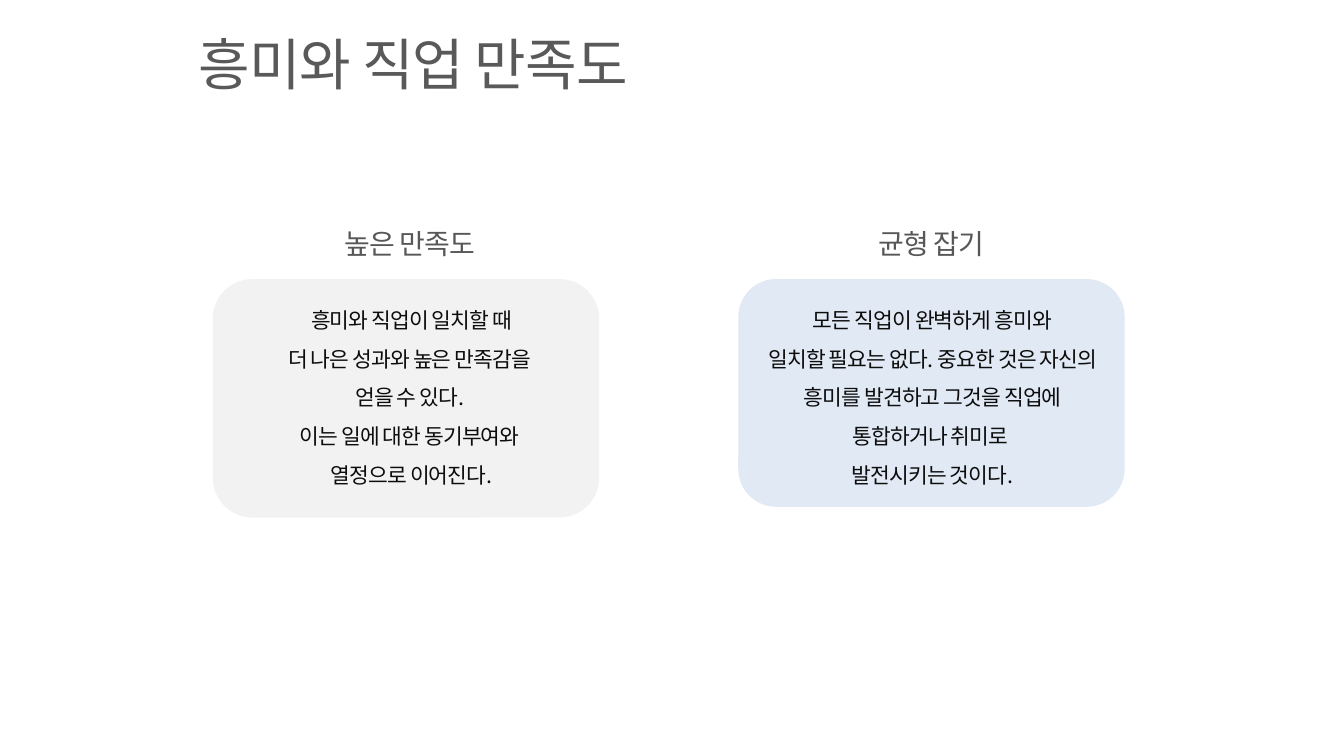
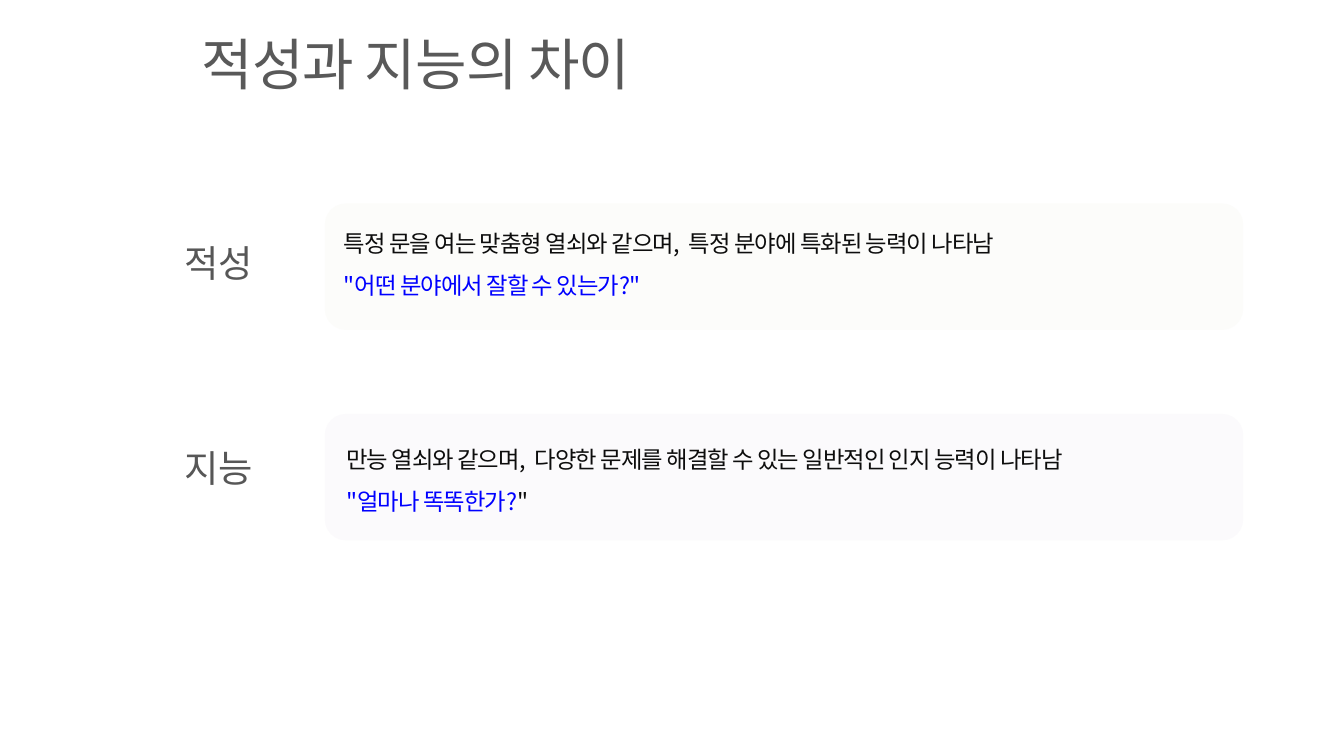
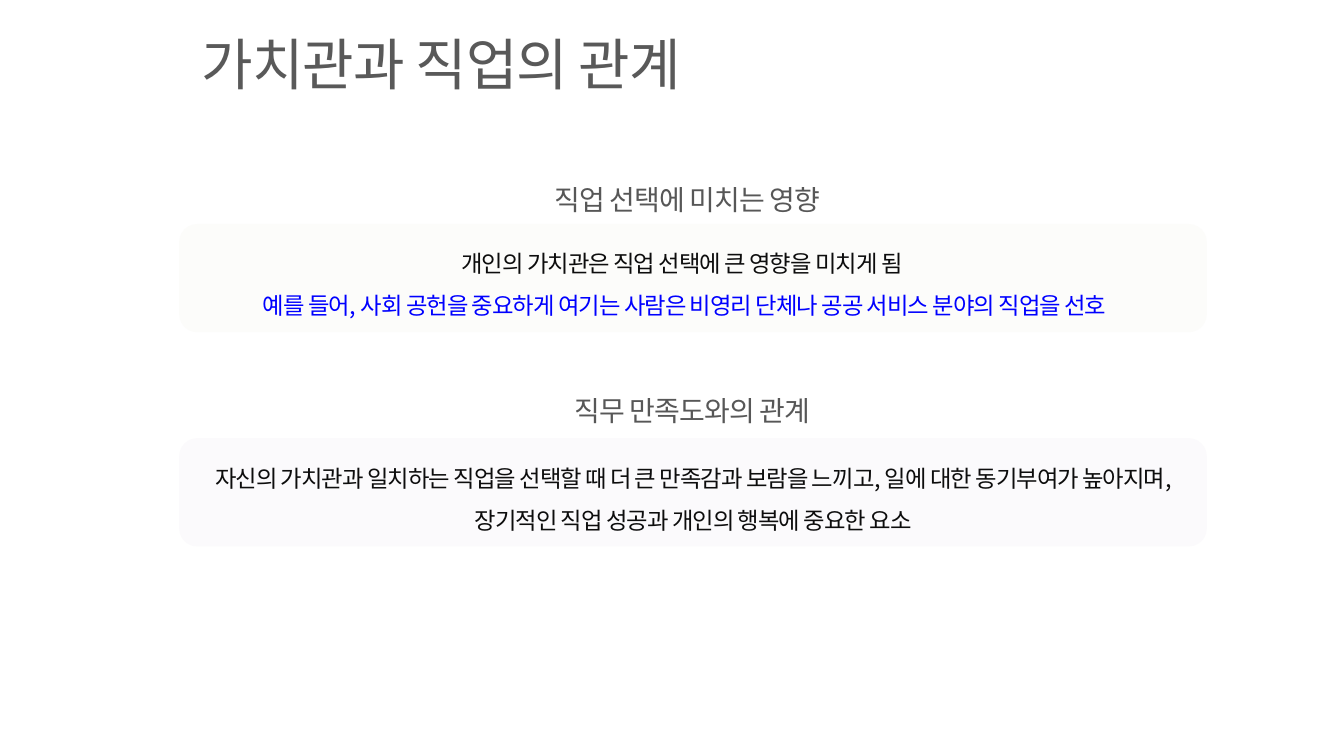
"""Build three slides on interests, aptitude and values at work."""
from dataclasses import dataclass

from lxml.etree import SubElement as Sub
from pptx import Presentation
from pptx.dml.color import RGBColor as Rgb
from pptx.enum.shapes import MSO_SHAPE as Form
from pptx.enum.text import MSO_ANCHOR as Anchor, MSO_AUTO_SIZE as Auto, PP_ALIGN as Align
from pptx.oxml.ns import qn
from pptx.util import Pt


@dataclass(frozen=True)
class Theme:
    font: str = "Noto Sans CJK KR"
    paper: str = "FFFFFF"
    title: str = "595959"
    label: str = "000000"
    ink: str = "0D0D0D"
    blue: str = "0000FF"
    gray: str = "F2F2F2"
    sky: str = "E0E9F4"
    cream: str = "FCFCFA"
    lilac: str = "FBFAFC"
    veil: int = 66
    track: int = -100
    big: int = 60
    side: int = 40
    head: int = 30
    note: int = 25
    small: int = 23


T = Theme()
SIZE = (1440, 810)
MID, LEFT = Align.CENTER, Align.LEFT

SLIDES = [
    {
        "title": ("흥미와 직업 만족도", 213, 549),
        "style": {"head": T.head, "body": T.small, "align": MID},
        "cards": [
            {
                "fill": T.gray, "box": (228, 299, 414, 255.5),
                "label": ("높은 만족도", (356.5, 251.5, 165, 28)),
                "at": (252, 315.5, 378, 228),
                "lines": ["흥미와 직업이 일치할 때", "더 나은 성과와 높은 만족감을 ",
                          "얻을 수 있다. ", "이는 일에 대한 동기부여와 ",
                          "열정으로 이어진다."],
            },
            {
                "fill": T.sky, "box": (791, 299, 414, 244),
                "label": ("균형 잡기", (915, 251.5, 165, 28)),
                "at": (810, 315.5, 378, 158.5), "wrap": True,
                "lines": ["모든 직업이 완벽하게 흥미와",
                          "일치할 필요는 없다. 중요한 것은 자신의 흥미를 발견하고 "
                          "그것을 직업에 통합하거나 취미로 ",
                          "발전시키는 것이다."],
            },
        ],
    },
    {
        "title": ("적성과 지능의 차이", 216, 726),
        "style": {"head": T.side, "body": T.note, "align": LEFT},
        "cards": [
            {
                "fill": T.cream, "box": (348, 218, 984, 135.5),
                "label": ("적성", (198, 278, 239, 28)),
                "at": (368.5, 231, 853, 104),
                "lines": ["특정 문을 여는 맞춤형 열쇠와 같으며,  특정 분야에 특화된 능력이 나타남",
                          [('"어떤 분야에서 잘할 수 있는가?"', T.blue)]],
            },
            {
                "fill": T.lilac, "box": (348, 443.5, 984, 135.5),
                "label": ("지능", (198, 497.5, 294, 28)),
                "at": (371, 462, 883.5, 104),
                "lines": ["만능 열쇠와 같으며,  다양한 문제를 해결할 수 있는 일반적인 인지 능력이 나타남",
                          [('"얼마나 똑똑한가?', T.blue), ('"', T.ink)]],
            },
        ],
    },
    {
        "title": ("가치관과 직업의 관계", 216, 726),
        "style": {"head": T.head, "body": T.note, "align": MID},
        "cards": [
            {
                "fill": T.cream, "box": (192, 240, 1101, 116),
                "label": ("직업 선택에 미치는 영향", (469.5, 204, 534, 28)),
                "at": (168, 251.5, 1125, 104),
                "lines": ["개인의 가치관은 직업 선택에 큰 영향을 미치게 됨",
                          [(" ", T.ink),
                           ("예를 들어, 사회 공헌을 중요하게 여기는 사람은 비영리 단체나 "
                            "공공 서비스 분야의 직업을 선호", T.blue)]],
            },
            {
                "fill": T.lilac, "box": (192, 469.5, 1101, 116),
                "label": ("직무 만족도와의 관계", (583, 430.5, 318, 37.5)),
                "lines": ["자신의 가치관과 일치하는 직업을 선택할 때 더 큰 만족감과 보람을 느끼고, "
                          "일에 대한 동기부여가 높아지며, 장기적인 직업 성공과 개인의 행복에 "
                          "중요한 요소"],
            },
        ],
    },
]


def apply(obj, vals):
    for key, val in vals.items():
        setattr(obj, key, val)


def write(frame, lines, size, align, gap, ink=T.ink, veil=None):
    for num, line in enumerate(lines):
        para = frame.add_paragraph() if num else frame.paragraphs[0]
        apply(para, {"alignment": align, "line_spacing": gap})
        for text, tint in [(line, ink)] if isinstance(line, str) else line:
            run = para.add_run()
            run.text = text
            apply(run.font, {"size": Pt(size), "name": T.font})
            run.font.color.rgb = Rgb.from_string(tint)
            props = run.font._element
            props.set("spc", str(T.track))
            Sub(props, qn("a:ea"), typeface=T.font)
            if veil:
                color = props.find(".//" + qn("a:srgbClr"))
                Sub(color, qn("a:alpha"), val=str(veil * 1000))


def frame_at(slide, box, wrap=False, anchor=Anchor.TOP):
    frame = slide.shapes.add_textbox(*map(Pt, box)).text_frame
    sides = ("left", "top", "right", "bottom")
    apply(frame, {f"margin_{side}": 0 for side in sides})
    apply(frame, {"auto_size": Auto.NONE, "word_wrap": wrap, "vertical_anchor": anchor})
    return frame


def add_card(slide, card, style):
    shape = slide.shapes.add_shape(Form.ROUNDED_RECTANGLE, *map(Pt, card["box"]))
    shape.shadow.inherit = False
    shape.fill.solid()
    shape.fill.fore_color.rgb = Rgb.from_string(card["fill"])
    shape.line.fill.background()
    text, box = card["label"]
    write(frame_at(slide, box), [text], style["head"], style["align"],
          Pt(27.5), T.label, T.veil)
    if "at" in card:
        frame = frame_at(slide, card["at"], card.get("wrap", False))
    else:
        frame = shape.text_frame
        apply(frame, {"word_wrap": True, "vertical_anchor": Anchor.MIDDLE})
    write(frame, card["lines"], style["body"], style["align"], 1.5)


def main():
    deck = Presentation()
    apply(deck, dict(zip(("slide_width", "slide_height"), map(Pt, SIZE))))
    for page in SLIDES:
        slide = deck.slides.add_slide(deck.slide_layouts[6])
        slide.background.fill.solid()
        slide.background.fill.fore_color.rgb = Rgb.from_string(T.paper)
        for card in page["cards"]:
            add_card(slide, card, page["style"])
        text, left, width = page["title"]
        frame = frame_at(slide, (left, 25, width, 86), True, Anchor.MIDDLE)
        write(frame, [text], T.big, LEFT, 1.0, T.title)
    deck.save("out.pptx")


if __name__ == "__main__":
    main()
